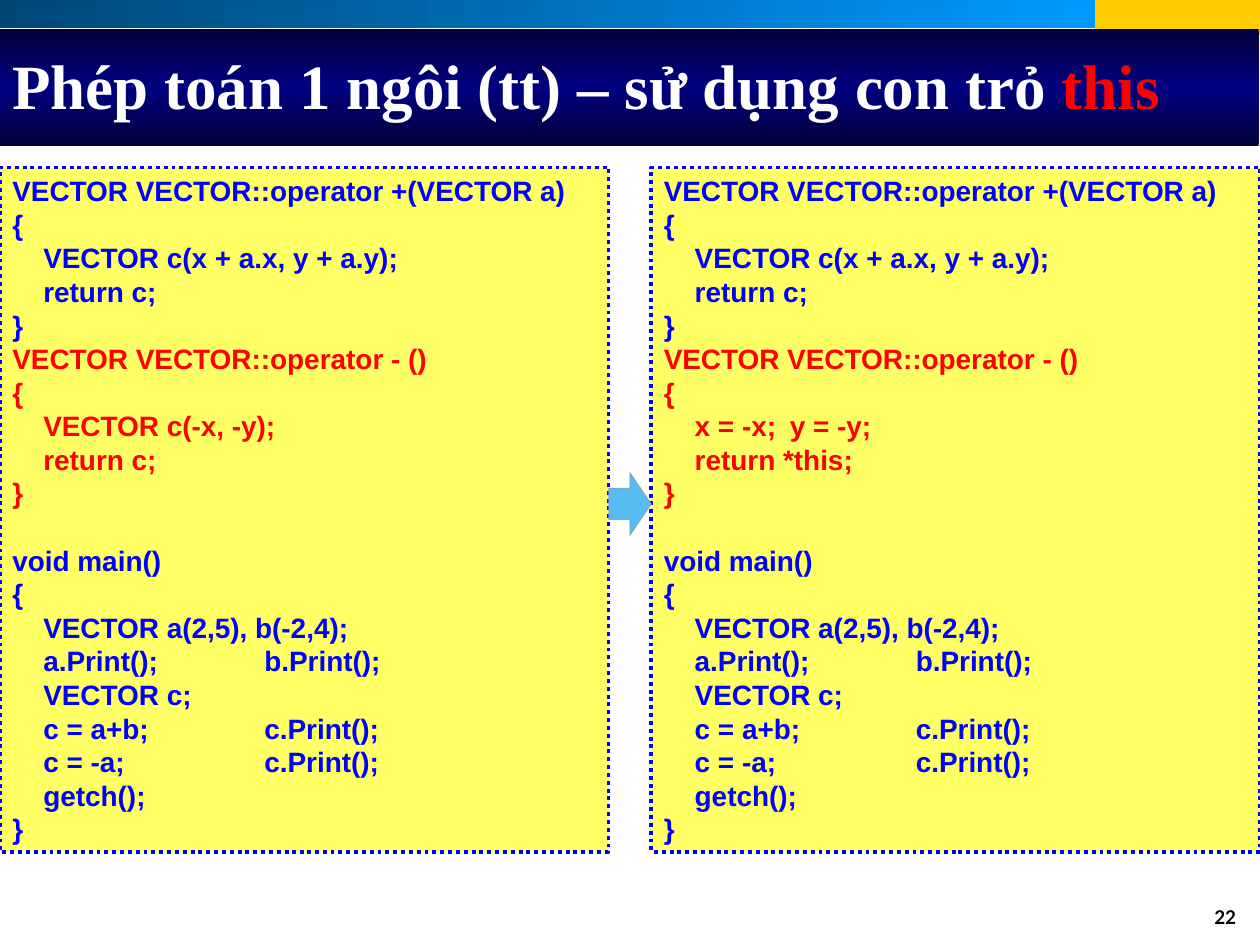
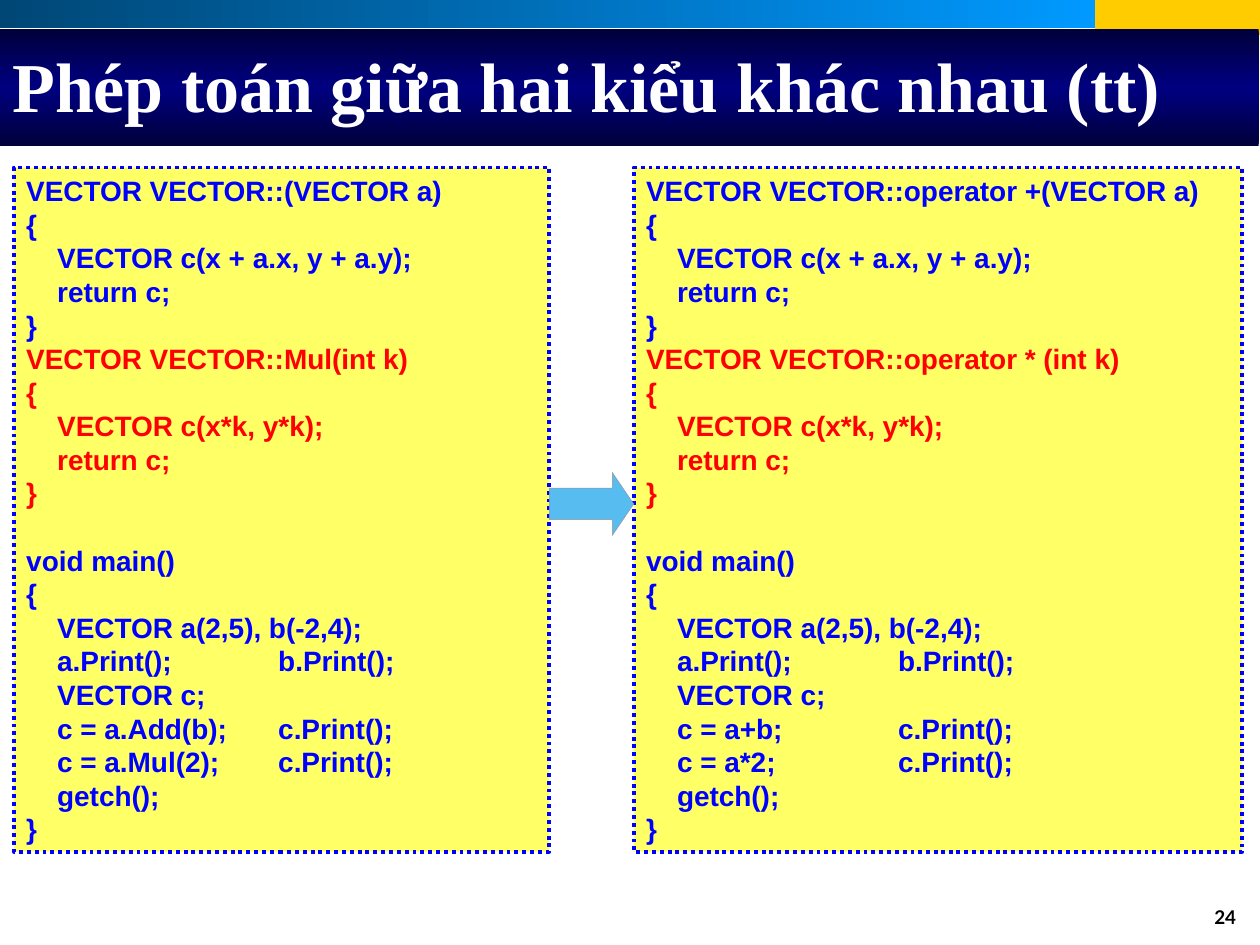
from dataclasses import dataclass

from lxml import etree
from pptx import Presentation
from pptx.dml.color import RGBColor
from pptx.enum import dml, shapes, text
from pptx.oxml import ns
from pptx.util import Inches, Pt


@dataclass(frozen=True)
class Theme:
    """Colours, fonts and type sizes of the deck."""
    white: str = "FFFFFF"
    black: str = "000000"
    gold: str = "FFCC00"
    strip: tuple = ((0, "004776"), (100, "0099FF"))
    band: tuple = ((0, "00003B"), (50, "000080"), (100, "00003B"))
    panel: str = "FFFF66"
    code: str = "0000FF"
    accent: str = "FF0000"
    arrow: str = "57BCEF"
    arrow_edge: str = "969696"
    title_font: str = "Times New Roman"
    code_font: str = "Arial"
    number_font: str = "Lato"
    code_size: float = 16
    code_pitch: float = 19.2
    number_size: float = 10.8


@dataclass(frozen=True)
class Box:
    """A rectangle in inches."""
    left: float
    top: float
    width: float
    height: float

    @property
    def right(self):
        """Return the right edge."""
        return self.left + self.width

    def lengths(self):
        """Return the four lengths that python-pptx expects."""
        return [Inches(n) for n in (self.left, self.top, self.width, self.height)]


THEME = Theme()
STRIP = Box(0, 0, 8.69, 0.22)
CORNER = Box(8.69, 0, 1.31, 0.28)
BAND = Box(0, 0.23, 9.99, 0.93)
TITLE = Box(0, 0.17, 9.5, 1)
NUMBER = Box(7.58, 7.17, 2.33, 0.32)
PANEL_TOP, PANEL_HEIGHT = 1.33, 5.43
ARROW_TOP, ARROW_HEIGHT, ARROW_HEAD = 3.75, 0.5, 0.17


def add_block(page, box, colour=None, kind=shapes.MSO_SHAPE.RECTANGLE):
    """Add a flat shape without outline."""
    shape = page.shapes.add_shape(kind, *box.lengths())
    shape.shadow.inherit = False
    shape.line.fill.background()
    if colour:
        shape.fill.solid()
        shape.fill.fore_color.rgb = RGBColor.from_string(colour)
    return shape


def add_gradient(page, box, stops, angle):
    """Add a block filled with a linear gradient."""
    shape = add_block(page, box)
    shape.fill.gradient()
    shape.fill.gradient_angle = angle
    stop_list = shape._element.spPr.find(".//" + ns.qn("a:gsLst"))
    for stop in list(stop_list):
        stop_list.remove(stop)
    for position, colour in stops:
        stop = etree.SubElement(stop_list, ns.qn("a:gs"), pos=str(position * 1000))
        etree.SubElement(stop, ns.qn("a:srgbClr"), val=colour)


def add_tabs(para):
    """Set a left tab stop at every inch."""
    tabs = etree.SubElement(para._p.get_or_add_pPr(), ns.qn("a:tabLst"))
    for inch in range(1, 8):
        etree.SubElement(tabs, ns.qn("a:tab"), pos=str(Inches(inch)), algn="l")


def add_span(para, words, font, size, colour):
    """Add one bold run."""
    span = para.add_run()
    span.text = words
    span.font.name = font
    span.font.size = Pt(size)
    span.font.bold = True
    span.font.color.rgb = RGBColor.from_string(colour)


def add_text_box(page, box, anchor=text.MSO_ANCHOR.TOP):
    """Add a wrapping text box and return its first paragraph."""
    frame = page.shapes.add_textbox(*box.lengths()).text_frame
    frame.word_wrap = True
    frame.vertical_anchor = anchor
    return frame.paragraphs[0]


def add_header(page, title, size):
    """Draw the top strip and the title band."""
    add_block(page, CORNER, THEME.gold)
    add_gradient(page, STRIP, THEME.strip, 0)
    add_gradient(page, BAND, THEME.band, 90)
    para = add_text_box(page, TITLE, text.MSO_ANCHOR.MIDDLE)
    for words, colour in title:
        add_span(para, words, THEME.title_font, size, colour)


def add_page_number(page, number):
    """Write the page number at the bottom right."""
    para = add_text_box(page, NUMBER)
    para.alignment = text.PP_ALIGN.RIGHT
    para.line_spacing = 0.8
    add_span(para, str(number), THEME.number_font, THEME.number_size, THEME.black)


def add_code_panel(page, box, listing):
    """Draw a dotted panel holding coloured blocks of code."""
    panel = add_block(page, box, THEME.panel)
    panel.line.color.rgb = RGBColor.from_string(THEME.code)
    panel.line.width = Pt(2.25)
    panel.line.dash_style = dml.MSO_LINE.ROUND_DOT
    frame = panel.text_frame
    frame.word_wrap = True
    frame.auto_size = text.MSO_AUTO_SIZE.SHAPE_TO_FIT_TEXT
    frame.vertical_anchor = text.MSO_ANCHOR.TOP
    para = frame.paragraphs[0]
    for block, (colour, lines) in enumerate(listing):
        for row, line in enumerate(lines):
            if block or row:
                para = frame.add_paragraph()
            para.alignment = text.PP_ALIGN.LEFT
            para.line_spacing = Pt(THEME.code_pitch)
            if line == "void main()":
                para.space_before = Pt(THEME.code_pitch)
            add_tabs(para)
            add_span(para, line, THEME.code_font, THEME.code_size, colour)


def add_arrow(page, box):
    """Draw the arrow that joins the two panels."""
    arrow = add_block(page, box, THEME.arrow, shapes.MSO_SHAPE.RIGHT_ARROW)
    arrow.adjustments[0] = 0.5
    arrow.adjustments[1] = ARROW_HEAD / min(box.width, box.height)
    arrow.line.color.rgb = RGBColor.from_string(THEME.arrow_edge)
    arrow.line.width = Pt(0.25)


def function_lines(head, *body):
    """Return a function with its body indented by four spaces."""
    return [head, "{", *("    " + line for line in body), "}"]


def vector_listing(operator, body, calls, plus="operator +"):
    """Return the sum, the highlighted operator and the main program."""
    return [
        (THEME.code, function_lines(f"VECTOR VECTOR::{plus}(VECTOR a)",
                                    "VECTOR c(x + a.x, y + a.y);", "return c;")),
        (THEME.accent, function_lines(f"VECTOR VECTOR::{operator}", *body)),
        (THEME.code, function_lines("void main()", "VECTOR a(2,5), b(-2,4);",
                                    "a.Print();\tb.Print();", "VECTOR c;",
                                    *(call + "c.Print();" for call in calls),
                                    "getch();")),
    ]


def add_comparison(deck, number, title, size, panels):
    """Build a slide that compares two code panels."""
    page = deck.slides.add_slide(deck.slide_layouts[6])
    add_header(page, title, size)
    add_page_number(page, number)
    boxes = [Box(left, PANEL_TOP, width, PANEL_HEIGHT) for left, width, _ in panels]
    for box, (_, _, listing) in zip(boxes, panels):
        add_code_panel(page, box, listing)
    before, after = boxes
    add_arrow(page, Box(before.right, ARROW_TOP, after.left - before.right, ARROW_HEIGHT))


def main():
    """Build and save the deck."""
    deck = Presentation()
    deck.slide_width, deck.slide_height = Inches(10), Inches(7.5)

    negate_calls = ["c = a+b;\t", "c = -a;\t\t"]
    add_comparison(
        deck, 22,
        [("Phép toán 1 ngôi (tt) – sử dụng con trỏ ", THEME.white), ("this", THEME.accent)], 36,
        [(0, 4.83, vector_listing("operator - ()", ["VECTOR c(-x, -y);", "return c;"],
                                  negate_calls)),
         (5.17, 4.83, vector_listing("operator - ()", ["x = -x;\ty = -y;", "return *this;"],
                                     negate_calls))])

    scale_body = ["VECTOR c(x*k, y*k);", "return c;"]
    add_comparison(
        deck, 24, [("Phép toán giữa hai kiểu khác nhau (tt)", THEME.white)], 40,
        [(0.11, 4.25, vector_listing("Mul(int k)", scale_body,
                                     ["c = a.Add(b);\t", "c = a.Mul(2);\t"], plus="")),
         (5.03, 4.83, vector_listing("operator * (int k)", scale_body,
                                     ["c = a+b;\t", "c = a*2;\t"]))])
    deck.save("out.pptx")


if __name__ == "__main__":
    main()
